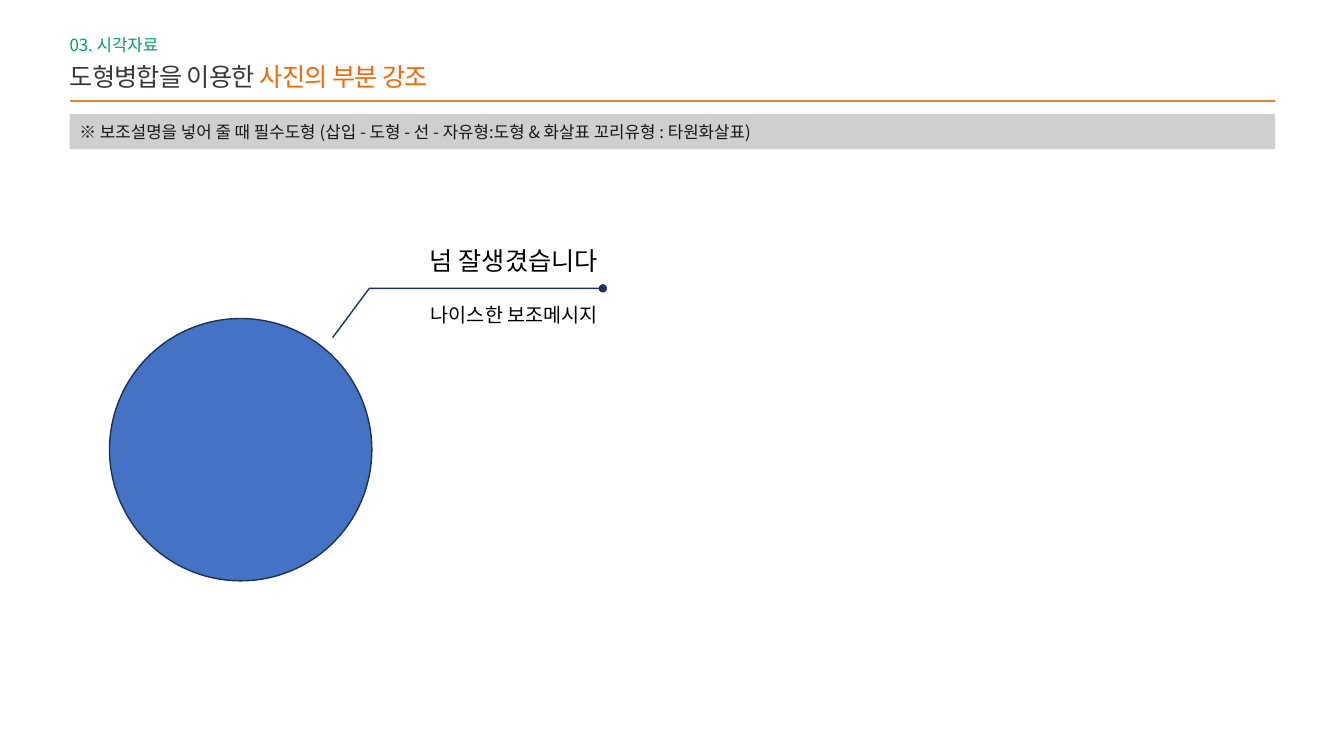
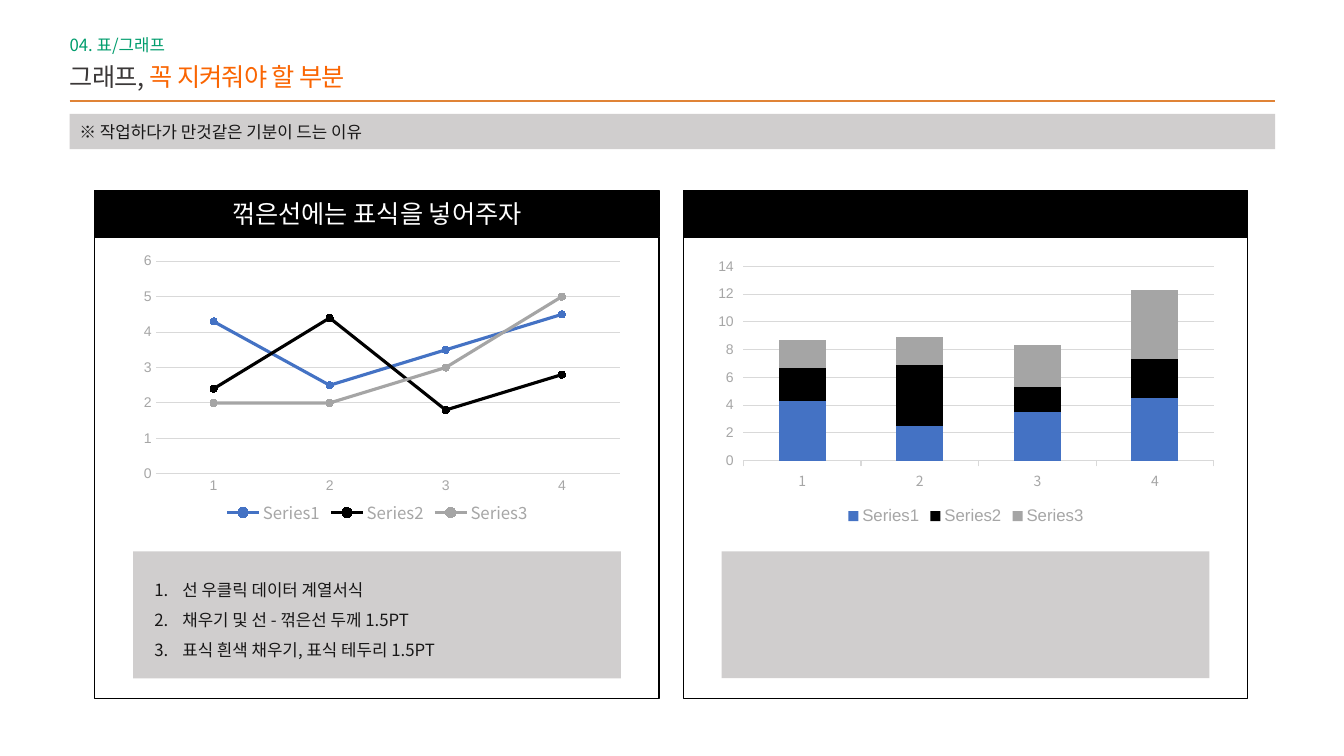
from lxml import etree
from pptx import Presentation
from pptx.chart.data import CategoryChartData
from pptx.dml.color import RGBColor
from pptx.enum.chart import XL_CHART_TYPE, XL_LEGEND_POSITION, XL_MARKER_STYLE, XL_TICK_MARK
from pptx.enum.shapes import MSO_CONNECTOR, MSO_SHAPE
from pptx.enum.text import MSO_ANCHOR, MSO_AUTO_SIZE, PP_ALIGN
from pptx.oxml.ns import qn
from pptx.util import Pt

KOREAN = "Noto Sans CJK KR"
COLORS = {key: RGBColor.from_string(value) for key, value in {
    "green": "019D6D", "dark": "3B3838", "orange": "FA6502", "rule": "E08336",
    "band": "D0CECE", "ink": "181717", "black": "000000", "white": "FFFFFF",
    "blue": "4472C4", "navy": "1E3256", "grid": "D9D9D9", "label": "A6A6A6",
    "gray": "A5A5A5"}.items()}
MARGIN, CONTENT_WIDTH = 49.7, 861.1


def write(paragraph, text, size, color, align=PP_ALIGN.LEFT):
    paragraph.alignment = align
    run = paragraph.add_run()
    run.text = text
    for name, value in {"size": Pt(size), "name": KOREAN, "bold": False}.items():
        setattr(run.font, name, value)
    run.font.color.rgb = COLORS[color]
    east_asian = etree.SubElement(run.font._element, qn("a:ea"))
    east_asian.set("typeface", KOREAN)
    return run


def add_box(slide, kind, place, fill, line=None):
    box = slide.shapes.add_shape(kind, *map(Pt, place))
    box.shadow.inherit = False
    box.fill.solid()
    box.fill.fore_color.rgb = COLORS[fill]
    if line:
        box.line.color.rgb = COLORS[line]
        box.line.width = Pt(1)
    else:
        box.line.fill.background()
    box.text_frame.vertical_anchor = MSO_ANCHOR.MIDDLE
    return box


prs = Presentation()
prs.slide_width, prs.slide_height = Pt(960), Pt(540)

pages = [
    (5, "03. 시각자료", "도형병합을 이용한 ", "사진의 부분 강조",
     "※ 보조설명을 넣어 줄 때 필수도형 (삽입 - 도형 - 선 - 자유형:도형 & 화살표 꼬리유형 : 타원화살표)"),
    (1, "04. 표/그래프", "그래프, ", "꼭 지켜줘야 할 부분",
     "※ 작업하다가 만것같은 기분이 드는 이유"),
]
for layout, chapter, lead, emphasis, remark in pages:
    slide = prs.slides.add_slide(prs.slide_layouts[layout])
    rule = slide.shapes.add_connector(
        MSO_CONNECTOR.STRAIGHT, Pt(MARGIN), Pt(72), Pt(MARGIN + CONTENT_WIDTH), Pt(72))
    rule.line.color.rgb = COLORS["rule"]
    rule.line.width = Pt(1.5)
    etree.SubElement(rule._element.spPr, qn("a:effectLst"))

    title = slide.shapes.title
    title.left, title.top, title.width, title.height = map(Pt, (MARGIN, 40.3, 451, 29))
    kicker = slide.shapes.add_textbox(*map(Pt, (MARGIN, 21.6, 190, 21.8)))
    for heading in (title, kicker):
        for name, value in {"margin_left": 0, "margin_top": Pt(3.6), "margin_bottom": Pt(3.6),
                            "word_wrap": True, "auto_size": MSO_AUTO_SIZE.NONE,
                            "vertical_anchor": MSO_ANCHOR.TOP}.items():
            setattr(heading.text_frame, name, value)
    write(kicker.text_frame.paragraphs[0], chapter, 12, "green")
    for text, color in ((lead, "dark"), (emphasis, "orange")):
        run = write(title.text_frame.paragraphs[0], text, 18, color)
        run.font._element.set("spc", "-50")
    band = add_box(slide, MSO_SHAPE.RECTANGLE, (MARGIN, 81.4, CONTENT_WIDTH, 25.2), "band")
    write(band.text_frame.paragraphs[0], remark, 12, "ink")

photo_slide, chart_slide = prs.slides

add_box(photo_slide, MSO_SHAPE.OVAL, (78.2, 227.5, 187.4, 187.4), "blue", "navy")
builder = photo_slide.shapes.build_freeform(Pt(237.6), Pt(241.2))
builder.add_line_segments([(Pt(263.8), Pt(206)), (Pt(430.6), Pt(206))], close=False)
callout = builder.convert_to_shape()
callout.shadow.inherit = False
callout.fill.background()
callout.line.color.rgb = COLORS["navy"]
callout.line.width = Pt(1)
etree.SubElement(callout.line._ln, qn("a:tailEnd")).set("type", "oval")
for text, size, place in (("넘 잘생겼습니다", 18, (224.6, 171.4, 209.5, 29)),
                          ("나이스한 보조메시지", 14, (280.8, 213, 153.4, 24.3))):
    message = photo_slide.shapes.add_textbox(*map(Pt, place))
    message.text_frame.word_wrap = True
    write(message.text_frame.paragraphs[0], text, size, "black", PP_ALIGN.RIGHT)

data = CategoryChartData()
data.categories = ["1", "2", "3", "4"]
for name, values in (("Series1", (4.3, 2.5, 3.5, 4.5)),
                     ("Series2", (2.4, 4.4, 1.8, 2.8)),
                     ("Series3", (2, 2, 3, 5))):
    data.add_series(name, values)

PANEL_WIDTH, PANEL_STEP = 403.2, 420.4
NOTE_TOP, NOTE_WIDTH, NOTE_HEIGHT = 393.8, 348.5, 90.7
panels = [
    (XL_CHART_TYPE.LINE_MARKERS, "꺾은선에는 표식을 넣어주자", XL_TICK_MARK.NONE, "Arial", KOREAN),
    (XL_CHART_TYPE.COLUMN_STACKED, "", XL_TICK_MARK.OUTSIDE, KOREAN, "Arial"),
]
for index, (kind, caption, tick, category_font, legend_font) in enumerate(panels):
    left = 67.7 + index * PANEL_STEP
    note_left = left + (PANEL_WIDTH - NOTE_WIDTH) / 2
    add_box(chart_slide, MSO_SHAPE.RECTANGLE, (left, 169.2, PANEL_WIDTH, 329.8), "white", "black")
    header = add_box(chart_slide, MSO_SHAPE.RECTANGLE, (left, 136.1, PANEL_WIDTH, 33.1),
                     "black", "black")
    if caption:
        write(header.text_frame.paragraphs[0], caption, 18, "white", PP_ALIGN.CENTER)

    chart = chart_slide.shapes.add_chart(
        kind, *map(Pt, (left + 17.6, 180.7, 368.6, 197.3)), data).chart
    chart.has_title = False
    chart.font.size = Pt(10)
    chart.font.name = KOREAN
    chart.has_legend = True
    chart.legend.position = XL_LEGEND_POSITION.BOTTOM
    chart.legend.include_in_layout = False
    category, value = chart.category_axis, chart.value_axis
    for font, size, face in ((category.tick_labels.font, 10, category_font),
                             (value.tick_labels.font, 10, "Arial"),
                             (chart.legend.font, 12, legend_font)):
        font.size = Pt(size)
        font.name = face
        font.color.rgb = COLORS["label"]
    for axis in (category, value):
        axis.major_tick_mark = tick
        axis.minor_tick_mark = XL_TICK_MARK.NONE
    for line in (category.format.line, value.major_gridlines.format.line):
        line.color.rgb = COLORS["grid"]
        line.width = Pt(0.75)
    value.format.line.fill.background()

    plot = chart.plots[0]
    plot.vary_by_categories = False
    is_line = kind == XL_CHART_TYPE.LINE_MARKERS
    for series, color in zip(plot.series, ("blue", "black", "gray")):
        fills = [series.format.fill]
        if is_line:
            series.smooth = False
            series.format.line.color.rgb = COLORS[color]
            series.format.line.width = Pt(2.25)
            series.marker.style = XL_MARKER_STYLE.CIRCLE
            series.marker.size = 5
            series.marker.format.line.color.rgb = COLORS[color]
            fills = [series.marker.format.fill]
        for fill in fills:
            fill.solid()
            fill.fore_color.rgb = COLORS[color]
    if is_line:
        area = chart.element.find(".//" + qn("c:plotArea"))
        for old in area.findall(qn("c:layout")):
            area.remove(old)
        frame = etree.Element(qn("c:layout"))
        area.insert(0, frame)
        manual = etree.SubElement(frame, qn("c:manualLayout"))
        for tag, setting in (("layoutTarget", "inner"), ("xMode", "edge"), ("yMode", "edge"),
                             ("x", "0.07"), ("y", "0.03"), ("w", "0.9"), ("h", "0.77")):
            etree.SubElement(manual, qn("c:" + tag)).set("val", setting)
    else:
        plot.gap_width, plot.overlap = 150, 100
        add_box(chart_slide, MSO_SHAPE.RECTANGLE,
                (note_left, NOTE_TOP, NOTE_WIDTH, NOTE_HEIGHT), "band")

steps = chart_slide.placeholders[1]
chart_slide.shapes.element.append(steps._element)
steps.left, steps.top, steps.width, steps.height = map(
    Pt, (67.7 + (PANEL_WIDTH - NOTE_WIDTH) / 2, NOTE_TOP, NOTE_WIDTH, NOTE_HEIGHT))
steps.fill.solid()
steps.fill.fore_color.rgb = COLORS["band"]
steps.text_frame.auto_size = MSO_AUTO_SIZE.NONE
steps.text_frame.vertical_anchor = MSO_ANCHOR.MIDDLE
for index, text in enumerate(("선 우클릭 데이터 계열서식",
                              "채우기 및 선 - 꺾은선 두께 1.5PT",
                              "표식 흰색 채우기, 표식 테두리 1.5PT")):
    step = steps.text_frame.add_paragraph() if index else steps.text_frame.paragraphs[0]
    properties = step._p.get_or_add_pPr()
    properties.set("marL", str(Pt(28)))
    properties.set("indent", str(Pt(-20)))
    etree.SubElement(properties, qn("a:buFont")).set("typeface", "+mj-lt")
    etree.SubElement(properties, qn("a:buAutoNum")).set("type", "arabicPeriod")
    step.line_spacing = 1.5
    step.space_before = Pt(0)
    write(step, text, 12, "ink")

prs.save("out.pptx")
